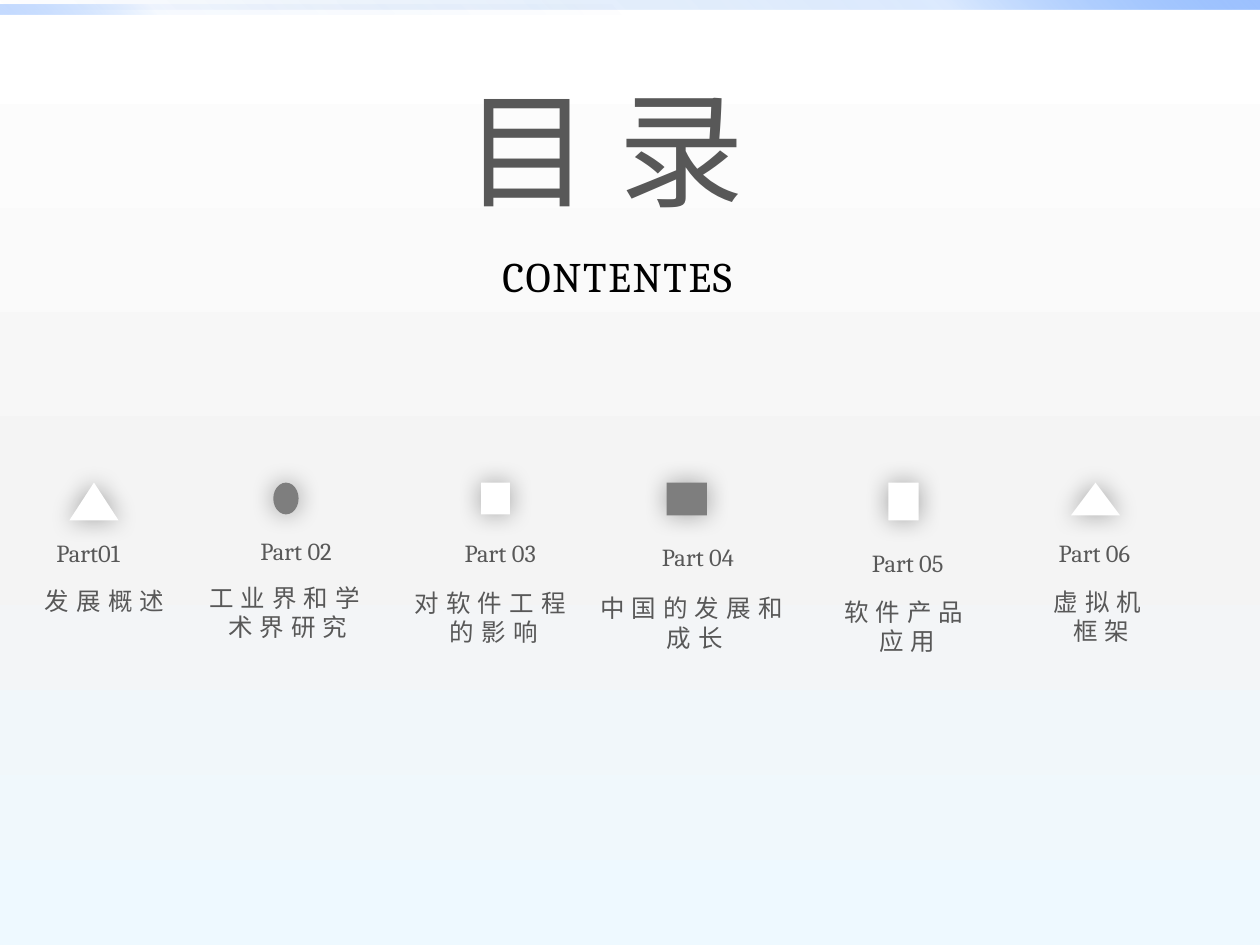
from dataclasses import dataclass
from typing import NamedTuple

from lxml import etree
from pptx import Presentation
from pptx.dml.color import RGBColor
from pptx.enum.shapes import MSO_SHAPE
from pptx.enum.text import MSO_AUTO_SIZE, PP_ALIGN
from pptx.oxml.ns import qn
from pptx.util import Cm, Pt

RECTANGLE = MSO_SHAPE.RECTANGLE
TRIANGLE = MSO_SHAPE.ISOSCELES_TRIANGLE
OVAL = MSO_SHAPE.OVAL
CENTER = PP_ALIGN.CENTER
GROW = MSO_AUTO_SIZE.SHAPE_TO_FIT_TEXT


class Box(NamedTuple):
    """Left, top, width and height in centimetres."""
    left: float
    top: float
    width: float
    height: float

    def lengths(self) -> list:
        return [Cm(value) for value in self]


class Stop(NamedTuple):
    position: int
    color: str
    opacity: int = 100


@dataclass(frozen=True)
class TextStyle:
    size: int
    color: str
    spacing: int = 0


@dataclass(frozen=True)
class Theme:
    font: str = "Cambria"
    white: str = "FFFFFF"
    gray: str = "7E7E7E"
    shadow: str = "000000"
    shadow_opacity: int = 35
    shadow_blur: int = 14
    title: TextStyle = TextStyle(72, "585858")
    subtitle: TextStyle = TextStyle(24, "000000", 1)
    label: TextStyle = TextStyle(14, "585858")
    caption: TextStyle = TextStyle(14, "585858", 4)
    background: tuple = (Stop(0, "FFFFFF"), Stop(55, "F4F4F4"), Stop(100, "EEF9FF"))
    top_bar: tuple = (Stop(0, "0058B7", 0), Stop(75, "4F95FF", 20), Stop(100, "9EC2FF"))
    left_bar: tuple = (Stop(0, "0058B7", 0), Stop(75, "4F95FF", 5), Stop(100, "9EC2FF", 60))


@dataclass(frozen=True)
class Part:
    icon: int
    color: str
    icon_box: Box
    label: str
    label_box: Box
    caption: str
    caption_box: Box


THEME = Theme()
ICON_TOP = 9.73
CAPTION_HEIGHT = 1.45

PARTS = [
    Part(TRIANGLE, THEME.white, Box(1.4, ICON_TOP, 0.99, 0.76),
         "Part01", Box(0.71, 10.72, 2.13, 0.84),
         "发展概述", Box(0.51, 11.68, 3.2, CAPTION_HEIGHT)),
    Part(OVAL, THEME.gray, Box(5.51, ICON_TOP, 0.51, 0.64),
         "Part 02", Box(4.37, 10.69, 3.2, 0.94),
         "工业界和学术界研究", Box(3.71, 11.63, 4.19, CAPTION_HEIGHT)),
    Part(RECTANGLE, THEME.white, Box(9.7, ICON_TOP, 0.58, 0.64),
         "Part 03", Box(8.89, 10.72, 2.39, 0.86),
         "对软件工程的影响", Box(7.9, 11.73, 4.11, CAPTION_HEIGHT)),
    Part(RECTANGLE, THEME.gray, Box(13.44, ICON_TOP, 0.81, 0.66),
         "Part 04", Box(12.98, 10.8, 2.18, 0.86),
         "中国的发展和成长", Box(11.71, 11.84, 4.6, CAPTION_HEIGHT)),
    Part(RECTANGLE, THEME.white, Box(17.91, ICON_TOP, 0.61, 0.76),
         "Part 05", Box(17.07, 10.92, 2.46, 1.75),
         "软件产品应用", Box(16.69, 11.91, 3.2, CAPTION_HEIGHT)),
    Part(TRIANGLE, THEME.white, Box(21.59, ICON_TOP, 0.99, 0.66),
         "Part 06", Box(21.01, 10.72, 2.11, 0.97),
         "虚拟机框架", Box(20.7, 11.71, 3.0, CAPTION_HEIGHT)),
]


def add_color(parent, color: str, opacity: int) -> None:
    element = etree.SubElement(parent, qn("a:srgbClr"), val=color)
    if opacity < 100:
        etree.SubElement(element, qn("a:alpha"), val=str(opacity * 1000))


def set_gradient(fill, owner, stops: tuple, clockwise_angle: int) -> None:
    fill.gradient()
    fill.gradient_angle = 360 - clockwise_angle
    stop_list = owner.find(f".//{qn('a:gsLst')}")
    stop_list.clear()
    for stop in stops:
        element = etree.SubElement(stop_list, qn("a:gs"), pos=str(stop.position * 1000))
        add_color(element, stop.color, stop.opacity)


def add_plain_shape(shapes, kind: int, box: Box):
    shape = shapes.add_shape(kind, *box.lengths())
    shape.line.fill.background()
    shape.shadow.inherit = False
    return shape


def add_bar(shapes, box: Box, stops: tuple, angle: int) -> None:
    shape = add_plain_shape(shapes, RECTANGLE, box)
    set_gradient(shape.fill, shape.element, stops, angle)


def add_icon(shapes, kind: int, box: Box, color: str) -> None:
    shape = add_plain_shape(shapes, kind, box)
    shape.fill.solid()
    shape.fill.fore_color.rgb = RGBColor.from_string(color)
    effects = shape.element.spPr.find(qn("a:effectLst"))
    glow = etree.SubElement(effects, qn("a:outerShdw"), blurRad=str(Pt(THEME.shadow_blur)),
                            dist="0", dir="0", algn="ctr", rotWithShape="0")
    add_color(glow, THEME.shadow, THEME.shadow_opacity)


def add_text(shapes, text: str, box: Box, style: TextStyle) -> None:
    frame = shapes.add_textbox(*box.lengths()).text_frame
    frame.word_wrap = True
    frame.auto_size = GROW
    paragraph = frame.paragraphs[0]
    paragraph.alignment = CENTER
    run = paragraph.add_run()
    run.text = text
    for name, value in {"name": THEME.font, "size": Pt(style.size)}.items():
        setattr(run.font, name, value)
    run.font.color.rgb = RGBColor.from_string(style.color)
    if style.spacing:
        run.font._element.set("spc", str(style.spacing * 100))


def add_part(slide, part: Part) -> None:
    shapes = slide.shapes.add_group_shape().shapes
    add_icon(shapes, part.icon, part.icon_box, part.color)
    add_text(shapes, part.label, part.label_box, THEME.label)
    add_text(shapes, part.caption, part.caption_box, THEME.caption)


def main() -> None:
    presentation = Presentation()
    presentation.slide_width = Cm(25.4)
    presentation.slide_height = Cm(19.05)
    slide = presentation.slides.add_slide(presentation.slide_layouts[6])

    # Background and bars along the top edge
    set_gradient(slide.background.fill, slide.element, THEME.background, 90)
    add_bar(slide.shapes, Box(0, 0, 25.4, 0.2), THEME.top_bar, 315)
    add_bar(slide.shapes, Box(0, 0.1, 12.7, 0.2), THEME.left_bar, 135)

    # Heading
    add_text(slide.shapes, "目 录", Box(5.69, 1.32, 13, 3.33), THEME.title)
    add_text(slide.shapes, "CONTENTES", Box(6.3, 4.93, 12.29, 1.27), THEME.subtitle)

    # Row of parts
    for part in PARTS:
        add_part(slide, part)

    presentation.save("out.pptx")


if __name__ == "__main__":
    main()
